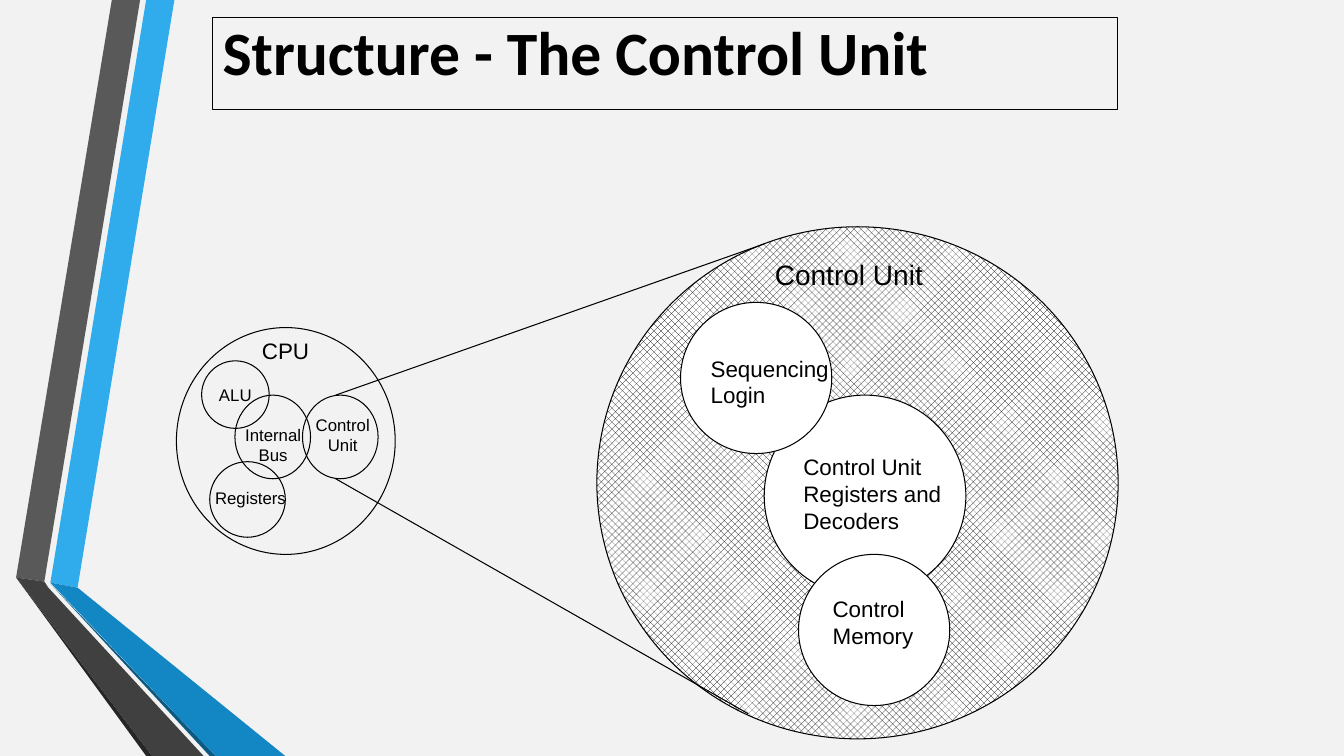
from lxml import etree
from pptx import Presentation
from pptx import util as u
from pptx.dml.color import RGBColor
from pptx.enum import dml, shapes, text
from pptx.oxml.ns import qn

PX = 9144  # EMU per px, 100 px to the inch
COLORS = {
    "background": "F2F2F2", "ink": "000000", "white": "FFFFFF",
    "blue": "30ACEC", "blue_mid": "1287C3", "blue_dark": "0C5A82",
    "gray": "595959", "gray_mid": "404040", "gray_dark": "262626",
}


def rgb(name):
    return RGBColor.from_string(COLORS[name])


class Diagram:
    """Holds the style and the slide being drawn."""

    def __init__(self, slide, font="Arial", line_width=0.75):
        self.slide, self.font, self.line_width = slide, font, line_width
        slide.background.fill.solid()
        slide.background.fill.fore_color.rgb = rgb("background")

    def outline(self, item):
        item.line.color.rgb = rgb("ink")
        item.line.width = u.Pt(self.line_width)

    def set_words(self, item, words, size, align, anchor, wrap=False, font=None, bold=False):
        frame = item.text_frame
        frame.text = words
        frame.word_wrap = wrap
        frame.vertical_anchor = anchor
        for paragraph in frame.paragraphs:
            paragraph.alignment = align
            for run in paragraph.runs:
                run.font.size = u.Pt(size)
                run.font.name = font or self.font
                run.font.bold = bold
                run.font.color.rgb = rgb("ink")

    def ribbon(self, color, points):
        builder = self.slide.shapes.build_freeform(*points[0], scale=PX)
        builder.add_line_segments(points[1:], close=True)
        band = builder.convert_to_shape()
        band.shadow.inherit = False
        band.fill.solid()
        band.fill.fore_color.rgb = rgb(color)
        band.line.fill.background()

    def shape(self, kind, box, fill=None):
        item = self.slide.shapes.add_shape(kind, *(n * PX for n in box))
        item.shadow.inherit = False
        if fill == "hatched":
            item.fill.patterned()
            item.fill.pattern = dml.MSO_PATTERN.PERCENT_50
            item.fill.fore_color.rgb = rgb("ink")
            item.fill.back_color.rgb = rgb("white")
        elif fill:
            item.fill.solid()
            item.fill.fore_color.rgb = rgb(fill)
        else:
            item.fill.background()
        self.outline(item)
        return item

    def circle(self, box, fill=None):
        return self.shape(shapes.MSO_SHAPE.OVAL, box, fill)

    def title(self, box, words):
        heading = self.shape(shapes.MSO_SHAPE.RECTANGLE, box)
        self.set_words(heading, words, 44, text.PP_ALIGN.LEFT, text.MSO_ANCHOR.TOP,
                       wrap=True, font="Calibri", bold=True)
        heading.text_frame.paragraphs[0].line_spacing = 0.9

    def label(self, box, words, size, centred=False):
        caption = self.slide.shapes.add_textbox(*(n * PX for n in box))
        align = text.PP_ALIGN.CENTER if centred else text.PP_ALIGN.LEFT
        anchor = text.MSO_ANCHOR.MIDDLE if centred else text.MSO_ANCHOR.TOP
        self.set_words(caption, words, size, align, anchor)
        caption.text_frame.auto_size = text.MSO_AUTO_SIZE.SHAPE_TO_FIT_TEXT

    def line(self, *ends):
        ray = self.slide.shapes.add_connector(
            shapes.MSO_CONNECTOR.STRAIGHT, *(n * PX for n in ends))
        self.outline(ray)
        etree.SubElement(ray._element.spPr, qn("a:effectLst"))


def main():
    deck = Presentation()
    deck.slide_width, deck.slide_height = 1333 * PX, 750 * PX
    diagram = Diagram(deck.slides.add_slide(deck.slide_layouts[6]))

    # Folded ribbons on the left
    for color, points in [
        ("blue", [(50, 578), (77, 583), (173, 0), (145, 0)]),
        ("gray", [(139, 0), (111, 0), (16, 573), (44, 577)]),
        ("gray_dark", [(16, 573), (145, 750), (151, 750)]),
        ("blue_dark", [(50, 579), (208, 750), (214, 750)]),
        ("blue_mid", [(50, 578), (214, 750), (283, 750), (77, 583)]),
        ("gray_mid", [(202, 750), (48, 583), (44, 577), (16, 573), (151, 750)]),
    ]:
        diagram.ribbon(color, points)

    diagram.title((211, 17, 897, 92), "Structure - The Control Unit")

    # Control unit, enlarged, with its parts from back to front
    diagram.circle((592, 225, 517, 508), "hatched")
    for part in [(758, 392, 200, 200), (675, 300, 150, 150), (792, 550, 150, 150)]:
        diagram.circle(part, "white")

    # CPU and its parts
    diagram.circle((175, 325, 217, 225))
    alu = diagram.circle((200, 358, 67, 67))
    diagram.set_words(alu, "ALU", 12, text.PP_ALIGN.CENTER, text.MSO_ANCHOR.MIDDLE)
    for part in [(300, 392, 75, 83), (208, 458, 75, 75), (233, 392, 75, 83)]:
        diagram.circle(part)

    # Zoom lines from the small control unit to the large one
    diagram.line(333, 392, 758, 242)
    diagram.line(333, 475, 742, 708)

    # Labels
    for box, words in [
        ((250, 330, 67, 37), "CPU"),
        ((816, 586, 101, 64), "Control\nMemory"),
        ((787, 445, 163, 90), "Control Unit\nRegisters and\nDecoders"),
        ((695, 347, 138, 64), "Sequencing\nLogin"),
    ]:
        diagram.label(box, words, 16)
    for box, words, size in [
        ((303, 406, 74, 51), "Control\nUnit", 12),
        ((203, 478, 91, 31), "Registers", 12),
        ((233, 416, 76, 51), "Internal\nBus", 12),
        ((758, 250, 168, 44), "Control Unit", 20),
    ]:
        diagram.label(box, words, size, centred=True)

    deck.save("out.pptx")


if __name__ == "__main__":
    main()
